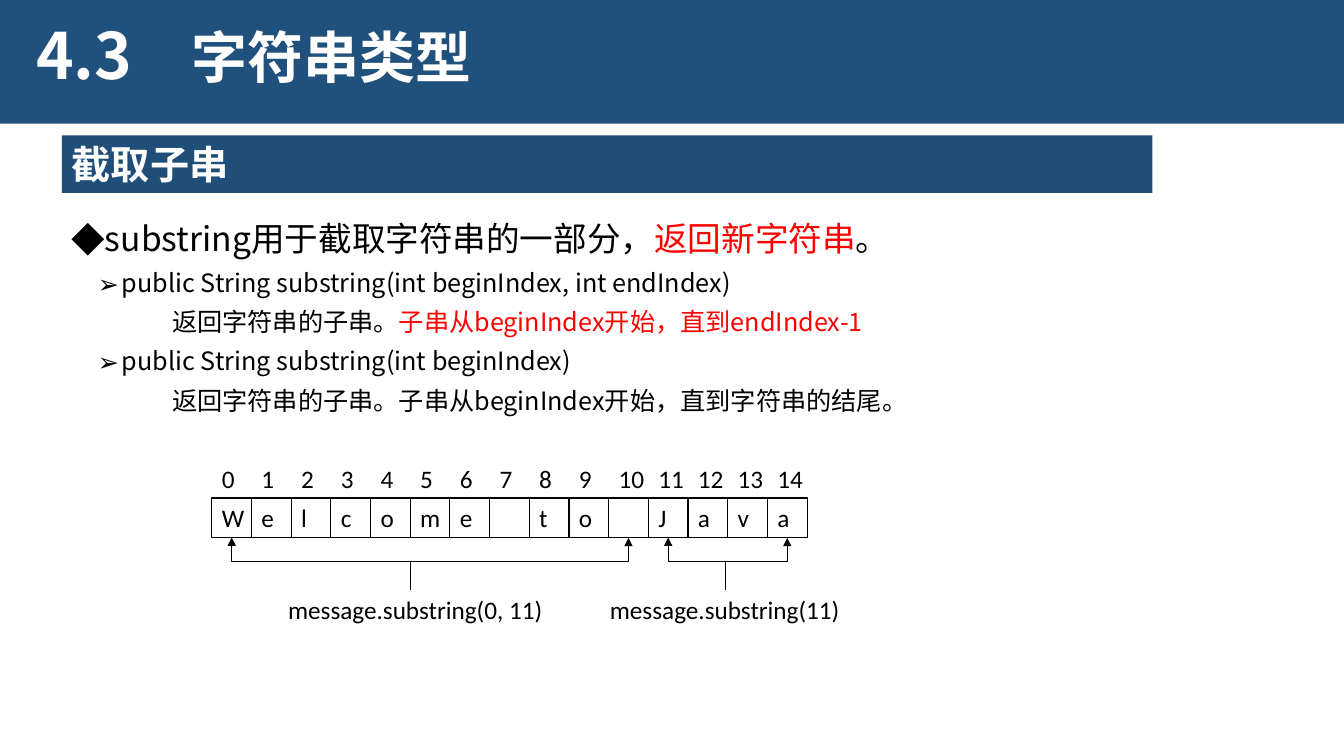
import pptx
import pptx.util
import pptx.dml.color
import pptx.enum.shapes
import pptx.enum.text
import pptx.oxml.ns

BANNER_BLUE = pptx.dml.color.RGBColor(0x20, 0x51, 0x7C)
HEADING_BLUE = pptx.dml.color.RGBColor(0x1F, 0x4E, 0x79)
WHITE = pptx.dml.color.RGBColor(0xFF, 0xFF, 0xFF)
BLACK = pptx.dml.color.RGBColor(0, 0, 0)
RED = pptx.dml.color.RGBColor(0xFF, 0, 0)
CHINESE_FONT = "Noto Sans CJK SC"
CODE_FONT = "Calibri"
SHAPES = pptx.enum.shapes.MSO_SHAPE
CONNECTORS = pptx.enum.shapes.MSO_CONNECTOR
ANCHORS = pptx.enum.text.MSO_ANCHOR
LEFT = pptx.enum.text.PP_ALIGN.LEFT
Cm = pptx.util.Cm
Pt = pptx.util.Pt
qn = pptx.oxml.ns.qn


def format_run(run, size, color, font=CHINESE_FONT, bold=False):
    run.font.size = Pt(size)
    run.font.color.rgb = color
    run.font.bold = bold
    run.font.name = font
    east_asian = run.font._element.makeelement(qn("a:ea"), {"typeface": font})
    run.font._element.find(qn("a:latin")).addnext(east_asian)


def style_connector(connector, arrows=False):
    """Draw a thin black line without shadow, with arrowheads at both ends if asked."""
    connector.line.color.rgb = BLACK
    connector.line.width = Pt(0.75)
    if arrows:
        line = connector.line._get_or_add_ln()
        for end in ("a:headEnd", "a:tailEnd"):
            line.append(line.makeelement(qn(end), {"type": "triangle"}))
    properties = connector._element.spPr
    properties.append(properties.makeelement(qn("a:effectLst"), {}))


deck = pptx.Presentation()
deck.slide_width = Cm(33.87)
deck.slide_height = Cm(19.05)
page = deck.slides.add_slide(deck.slide_layouts[5])
shapes = page.shapes

# Banner with section number and title
banner = shapes.add_shape(SHAPES.RECTANGLE, 0, 0, deck.slide_width, Cm(3.12))
banner.shadow.inherit = False
banner.fill.solid()
banner.fill.fore_color.rgb = BANNER_BLUE
banner.line.fill.background()
shapes._spTree.insert(2, banner._element)

title = shapes.title
title.left, title.top, title.width, title.height = Cm(4.57), Cm(0.64), Cm(20.55), Cm(1.37)
number = shapes.add_textbox(Cm(0.66), Cm(0.48), Cm(3.48), Cm(2.31))
for box, text, size in ((title, "字符串类型", 40), (number, "4.3", 45.6)):
    box.text_frame.text = text
    box.text_frame.word_wrap = True
    box.text_frame.vertical_anchor = ANCHORS.TOP
    para = box.text_frame.paragraphs[0]
    para.alignment = LEFT
    para.line_spacing = 0.9
    format_run(para.runs[0], size, WHITE, bold=True)

heading = shapes.add_shape(SHAPES.RECTANGLE, Cm(1.56), Cm(3.41), Cm(27.48), Cm(1.45))
heading.shadow.inherit = False
heading.fill.solid()
heading.fill.fore_color.rgb = HEADING_BLUE
heading.line.fill.background()
heading.text_frame.text = "截取子串"
heading.text_frame.paragraphs[0].alignment = LEFT
format_run(heading.text_frame.paragraphs[0].runs[0], 28, WHITE, bold=True)

# Explanation: level, bullet, left margin, hanging indent, size, spans
EXPLANATION = [
    (0, "◆", 0.84, 0.84, 24, [("substring用于截取字符串的一部分，", BLACK),
                              ("返回新字符串", RED), ("。", BLACK)]),
    (1, "➢", 1.27, 0.6, 18,
     [("public String substring(int beginIndex, int endIndex)", BLACK)]),
    (2, None, 2.54, 0, 18, [("返回字符串的子串。", BLACK),
                            ("子串从beginIndex开始，直到endIndex-1", RED)]),
    (1, "➢", 1.27, 0.6, 18, [("public String substring(int beginIndex)", BLACK)]),
    (2, None, 2.54, 0, 18,
     [("返回字符串的子串。子串从beginIndex开始，直到字符串的结尾。", BLACK)]),
]
explanation = shapes.add_textbox(Cm(1.55), Cm(5.06), Cm(31.95), Cm(12.17)).text_frame
explanation.word_wrap = True
for index, (level, bullet, margin, hanging, size, spans) in enumerate(EXPLANATION):
    para = explanation.paragraphs[0] if index == 0 else explanation.add_paragraph()
    para.level = level
    para.line_spacing = 1.3
    for text, color in spans:
        span = para.add_run()
        span.text = text
        format_run(span, size, color)
    properties = para._p.get_or_add_pPr()
    properties.set("marL", str(Cm(margin)))
    properties.set("indent", str(-Cm(hanging)))
    if bullet:
        properties.append(properties.makeelement(qn("a:buFont"), {"typeface": CHINESE_FONT}))
        properties.append(properties.makeelement(qn("a:buChar"), {"char": bullet}))

# Character cells under their indices
CELL = 1.0
ROW_LEFT, ROW_TOP = 5.34, 12.55
ROW_BOTTOM = ROW_TOP + CELL
for index, letter in enumerate("Welcome to Java"):
    left = Cm(ROW_LEFT + index * CELL)
    cell = shapes.add_shape(SHAPES.RECTANGLE, left, Cm(ROW_TOP), Cm(CELL), Cm(CELL))
    cell.shadow.inherit = False
    cell.fill.background()
    cell.line.color.rgb = BLACK
    cell.line.width = Pt(0.75)
    label = shapes.add_textbox(left, Cm(ROW_TOP - CELL), Cm(CELL), Cm(CELL))
    for box, text in ((cell, letter.strip()), (label, str(index))):
        frame = box.text_frame
        frame.text = text
        frame.word_wrap = True
        frame.margin_right = 0
        frame.vertical_anchor = ANCHORS.MIDDLE
        frame.paragraphs[0].alignment = LEFT
        for run in frame.paragraphs[0].runs:
            format_run(run, 18, BLACK, CODE_FONT)

# Brackets: first cell, last cell, stem position, call, call position, call width
DEPTH = 0.6
THICKNESS = 0.01
CALL_TOP = 14.86
for first, last, stem_x, call, call_left, call_width in (
    (0, 10, 10.34, "message.substring(0, 11)", 7.01, 7.29),
    (11, 14, 18.29, "message.substring(11)", 15.12, 6.43),
):
    middle = ROW_LEFT + (first + last + 1) / 2 * CELL
    half_span = (last - first) / 2 * CELL
    bracket = shapes.add_connector(
        CONNECTORS.ELBOW,
        Cm(middle + THICKNESS / 2), Cm(ROW_BOTTOM - half_span),
        Cm(middle - THICKNESS / 2), Cm(ROW_BOTTOM + half_span))
    geometry = bracket._element.spPr
    geometry.find(qn("a:xfrm")).set("rot", str(270 * 60000))
    guides = geometry.find(qn("a:prstGeom")).get_or_add_avLst()
    bend = round(DEPTH / THICKNESS * 100000)
    guides.append(guides.makeelement(qn("a:gd"), {"name": "adj1", "fmla": f"val {bend}"}))
    style_connector(bracket, arrows=True)

    stem = shapes.add_connector(CONNECTORS.STRAIGHT, Cm(stem_x), Cm(CALL_TOP),
                                Cm(stem_x), Cm(ROW_BOTTOM + DEPTH))
    style_connector(stem)
    label = shapes.add_textbox(Cm(call_left), Cm(CALL_TOP), Cm(call_width), Cm(0.94))
    label.text_frame.text = call
    label.text_frame.word_wrap = False
    format_run(label.text_frame.paragraphs[0].runs[0], 18, BLACK, CODE_FONT)

deck.save("out.pptx")
